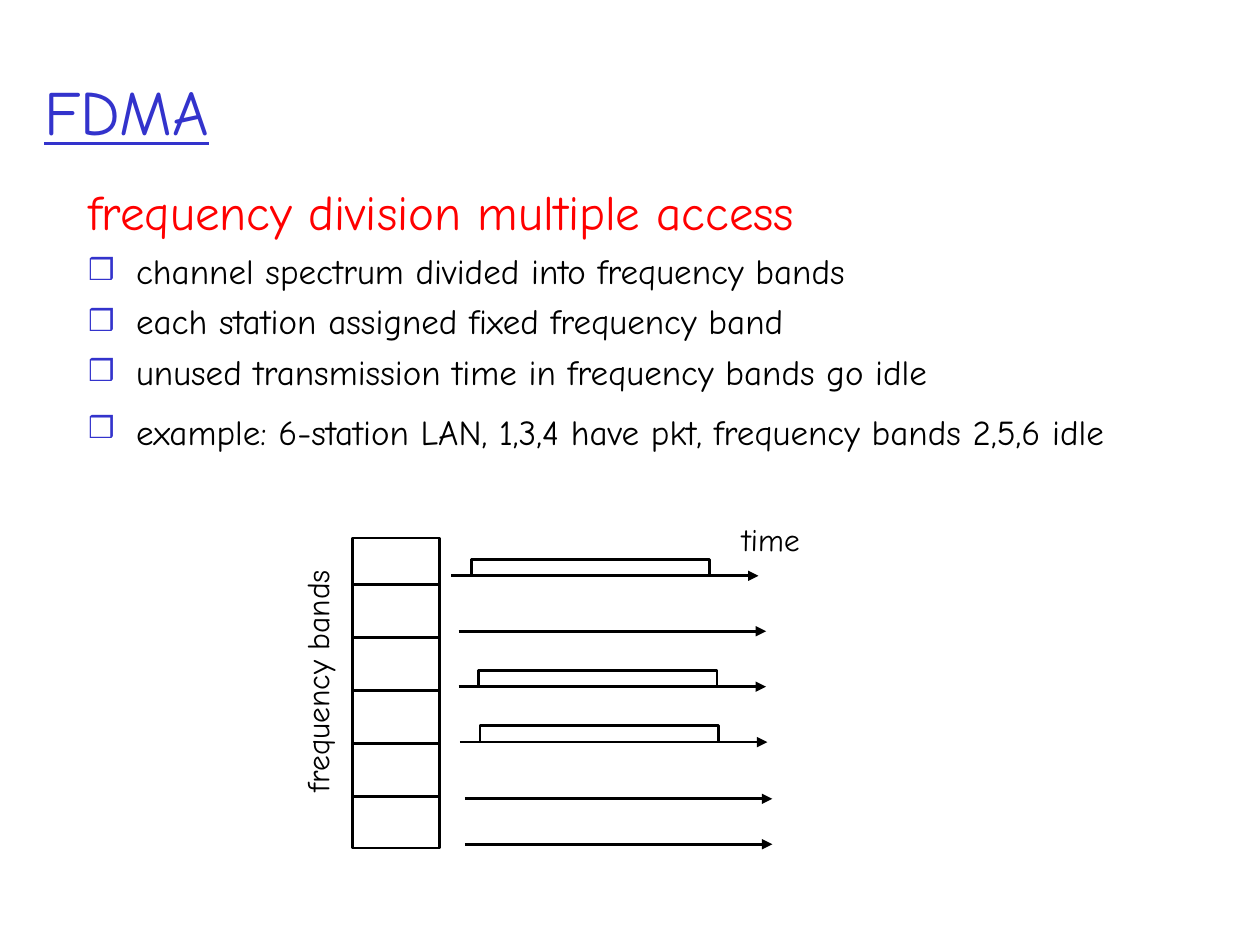
import pptx
import pptx.dml.color
import pptx.enum.shapes
import pptx.enum.text
import pptx.oxml
import pptx.oxml.ns
import pptx.util
from pptx.util import Inches

FONT = "Comic Neue"
COLORS = {"blue": "3333CC", "red": "FF0000", "ink": "000000", "paper": "FFFFFF"}
POINTS = [
    "channel spectrum divided into frequency bands",
    "each station assigned fixed frequency band",
    "unused transmission time in frequency bands go idle",
    "example: 6-station LAN, 1,3,4 have pkt, frequency bands 2,5,6 idle",
]
LEFT, TOP, WIDTH, HEIGHT = 2.8, 4.27, 0.69, 2.46
FIRST, STEP, BANDS = 4.64, 0.42, 6
# Start and height of each time axis, and whether its band is in use
AXES = [
    (3.58, 4.57, True),
    (3.64, 5.01, False),
    (3.64, 5.45, True),
    (3.65, 5.89, True),
    (3.69, 6.34, False),
    (3.69, 6.7, False),
]
SPAN, INSET, PULSE, RISE = 2.44, 0.16, 1.89, 0.13


def color(name):
    return pptx.dml.color.RGBColor.from_string(COLORS[name])


def add_xml(parent, tag, **attrs):
    node = pptx.oxml.parse_xml(f"<a:{tag} {pptx.oxml.ns.nsdecls('a')}/>")
    for key, value in attrs.items():
        node.set(key, value)
    parent.append(node)
    return node


def place(shape, left, top, width, height):
    box = {"left": left, "top": top, "width": width, "height": height}
    for key, value in box.items():
        setattr(shape, key, Inches(value))


def add_run(para, text, size, tint, **extra):
    run = para.add_run()
    run.text = text
    style = {"name": FONT, "size": pptx.util.Pt(size), **extra}
    for key, value in style.items():
        setattr(run.font, key, value)
    run.font.color.rgb = color(tint)


def set_line(shape):
    shape.line.color.rgb = color("ink")
    shape.line.width = pptx.util.Pt(1.5)


def add_line(shapes, x1, y1, x2, y2, arrow=False):
    kind = pptx.enum.shapes.MSO_CONNECTOR.STRAIGHT
    line = shapes.add_connector(kind, *map(Inches, (x1, y1, x2, y2)))
    set_line(line)
    if arrow:
        add_xml(line.line._get_or_add_ln(), "tailEnd", type="triangle")
    add_xml(line._element.spPr, "effectLst")


def add_pulse(shapes, left, base):
    """Draw an open box that stands on a time axis."""
    top, right = base - RISE, left + PULSE
    dots = [(left, base), (left, top), (right, top), (right, base)]
    dots = [(Inches(x), Inches(y)) for x, y in dots]
    path = shapes.build_freeform(*dots[0])
    path.add_line_segments(dots[1:], close=False)
    pulse = path.convert_to_shape()
    pulse.shadow.inherit = False
    pulse.fill.background()
    set_line(pulse)


def add_axis(shapes, left, base, busy):
    if busy:
        shapes = shapes.add_group_shape().shapes
    add_line(shapes, left, base, left + SPAN, base, arrow=True)
    if busy:
        add_pulse(shapes, left + INSET, base)


def add_stack(shapes):
    """Draw the column of frequency bands."""
    kind = pptx.enum.shapes.MSO_SHAPE.RECTANGLE
    rect = shapes.add_shape(kind, *map(Inches, (LEFT, TOP, WIDTH, HEIGHT)))
    rect.shadow.inherit = False
    rect.fill.solid()
    rect.fill.fore_color.rgb = color("paper")
    set_line(rect)
    for row in range(BANDS - 1):
        y = FIRST + row * STEP
        add_line(shapes, LEFT, y, LEFT + WIDTH, y)


def add_label(shapes, text, box, turn):
    label = shapes.add_textbox(*map(Inches, box))
    label.rotation = turn
    frame = label.text_frame
    frame.word_wrap = False
    frame.auto_size = pptx.enum.text.MSO_AUTO_SIZE.SHAPE_TO_FIT_TEXT
    add_run(frame.paragraphs[0], text, 18, "ink")


def set_title(title):
    place(title, 0.25, 0.25, 9.44, 1.25)
    frame = title.text_frame
    frame.auto_size = pptx.enum.text.MSO_AUTO_SIZE.NONE
    frame.vertical_anchor = pptx.enum.text.MSO_ANCHOR.MIDDLE
    para = frame.paragraphs[0]
    para.alignment = pptx.enum.text.PP_ALIGN.LEFT
    add_run(para, "FDMA", 36, "blue", underline=True)


def set_para(para, gap, bullet):
    para.space_before = pptx.util.Pt(gap)
    props = para._p.get_or_add_pPr()
    props.set("marL", str(Inches(0.38)))
    props.set("indent", str(Inches(-0.38)))
    if bullet:
        add_xml(add_xml(props, "buClr"), "srgbClr", val=COLORS["blue"])
        add_xml(props, "buSzPct", val="85000")
        add_xml(props, "buChar", char="❒")
    else:
        add_xml(props, "buNone")


def set_body(body):
    place(body, 0.6, 1.39, 8.99, 2.71)
    frame = body.text_frame
    frame.auto_size = pptx.enum.text.MSO_AUTO_SIZE.NONE
    para = frame.paragraphs[0]
    set_para(para, 7, False)
    add_run(para, "frequency division multiple access", 28, "red")
    for text in POINTS:
        last = text == POINTS[-1]
        para = frame.add_paragraph()
        set_para(para, 6 if last else 5, True)
        add_run(para, text, 20, "ink")
    add_run(para, " ", 24, "ink")


def main():
    deck = pptx.Presentation()
    deck.slide_width, deck.slide_height = Inches(10), Inches(7.5)
    slide = deck.slides.add_slide(deck.slide_layouts[1])
    shapes = slide.shapes
    set_title(shapes.title)
    set_body(slide.placeholders[1])
    add_stack(shapes)
    for axis in AXES:
        add_axis(shapes, *axis)
    add_label(shapes, "frequency bands", (1.53, 5.2, 1.97, 0.4), 270)
    add_label(shapes, "time", (5.79, 4.08, 0.66, 0.4), 1.1)
    deck.save("out.pptx")


if __name__ == "__main__":
    main()
